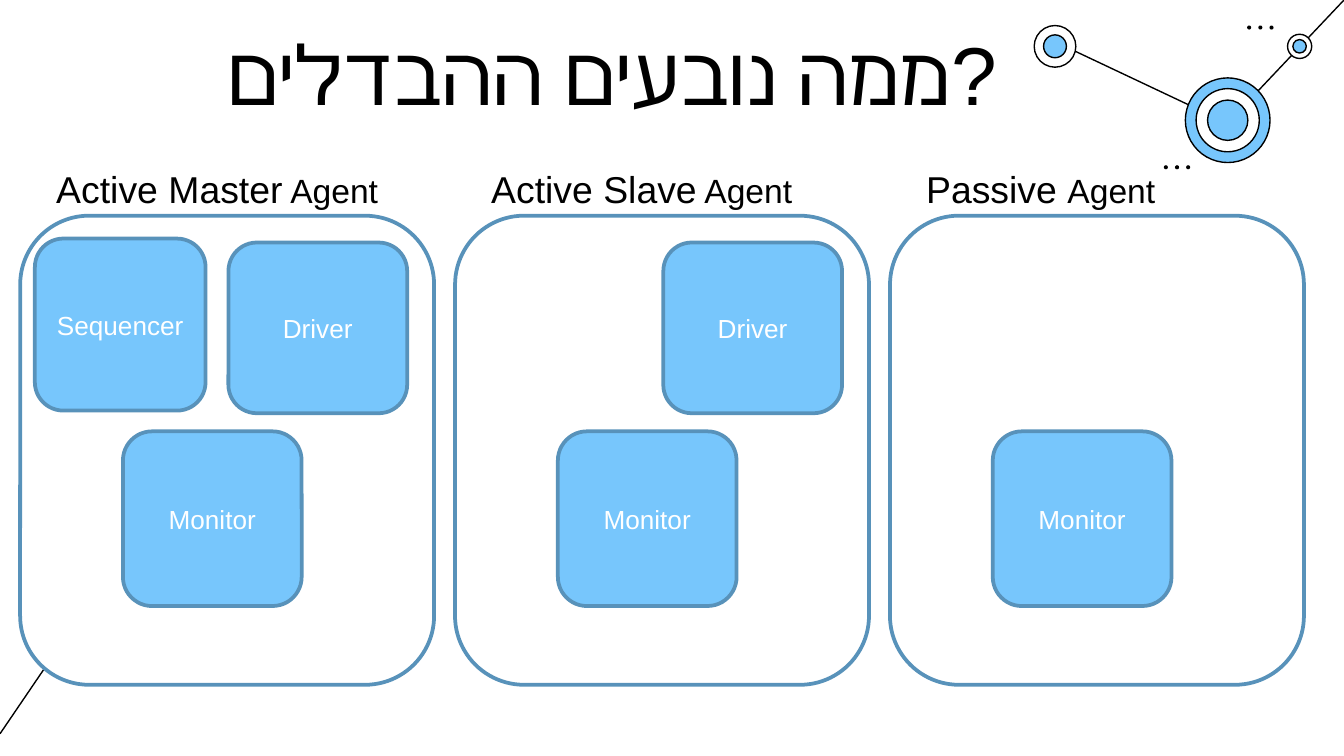
import pptx
import pptx.util
import pptx.dml.color
import pptx.enum.shapes
import pptx.enum.text
import pptx.oxml.ns
import lxml.etree

COLORS = {"black": "000000", "white": "FFFFFF", "sky": "77C6FC", "steel": "5892BA"}
FONT = "Arial"
UNIT = pptx.util.Inches(0.1)
PAGE_COLUMNS, PAGE_ROWS = 100, 56.25
SHAPES = pptx.enum.shapes.MSO_SHAPE

PANEL_LEFT, PANEL_TOP, PANEL_WIDTH, PANEL_HEIGHT = 1.5, 16.05, 30.8, 34.9
PANEL_STEP = 32.36
PARTS = {
    "Sequencer": (1.1, 1.7, 12.7, 12.8),
    "Driver": (15.5, 2, 13.3, 12.7),
    "Monitor": (7.65, 16.05, 13.3, 13),
}
PANELS = [
    (("Active Master", " Agent"), ("Sequencer", "Driver", "Monitor")),
    (("Active Slave", " Agent"), ("Driver", "Monitor")),
    (("Passive ", "Agent"), ("Monitor",)),
]


def color(name):
    return pptx.dml.color.RGBColor.from_string(COLORS[name])


def grid(*lengths):
    return [round(length * UNIT) for length in lengths]


def add_shape(page, kind, box, fill, line=None, weight=0.75):
    shape = page.shapes.add_shape(kind, *grid(*box))
    shape.shadow.inherit = False
    shape.fill.solid()
    shape.fill.fore_color.rgb = color(fill)
    if line:
        shape.line.color.rgb = color(line)
        shape.line.width = pptx.util.Pt(weight)
    else:
        shape.line.fill.background()
    return shape


def set_font(font, size, name):
    font.name = FONT
    font.size = pptx.util.Pt(size)
    font.color.rgb = color(name)


def add_line(page, start, end):
    line = page.shapes.add_connector(
        pptx.enum.shapes.MSO_CONNECTOR.STRAIGHT, *grid(*start, *end))
    line.line.color.rgb = color("black")
    line.line.width = pptx.util.Pt(0.75)
    lxml.etree.SubElement(line._element.spPr, pptx.oxml.ns.qn("a:effectLst"))


def add_rings(page, center, rings):
    for diameter, fill in rings:
        left, top = (middle - diameter / 2 for middle in center)
        add_shape(page, SHAPES.OVAL, (left, top, diameter, diameter), fill, "black")


def add_dots(page, left, top):
    for index in range(3):
        add_shape(page, SHAPES.OVAL, (left + 0.83 * index, top, 0.3, 0.3), "black")


def add_decoration(page, box):
    left, top, width, height = box
    small, large, tiny = (left + 1.5, top + 3.45), (left + 14.35, top + 8.95), (left + 19.7, top + 3.45)
    add_line(page, (0, PAGE_ROWS - 1.65), (4.9, 47.4))
    add_line(page, (left + 1.7, top + 3.2), (left + 14.4, top + 9.2))
    add_line(page, (left + 14.4, top + 9.1), (left + width, top))
    add_rings(page, large, [(6.3, "sky"), (4.7, "white"), (3, "sky")])
    add_rings(page, small, [(3.1, "white"), (1.7, "sky")])
    add_rings(page, tiny, [(1.8, "white"), (1, "sky")])
    add_dots(page, left + 15.8, top + 1.9)
    add_dots(page, left + 9.6, top + height)


def add_title(page, box):
    title = page.shapes.add_textbox(*grid(*box))
    frame = title.text_frame
    frame.word_wrap = True
    frame.vertical_anchor = pptx.enum.text.MSO_ANCHOR.MIDDLE
    frame.margin_left = frame.margin_right = frame.margin_top = frame.margin_bottom = 0
    para = frame.paragraphs[0]
    para.text = "ממה נובעים ההבדלים?"
    para.line_spacing = 0.9
    set_font(para.font, 44, "black")


def add_part(page, box, name):
    part = add_shape(page, SHAPES.ROUNDED_RECTANGLE, box, "sky", "steel", 2)
    part.text_frame.vertical_anchor = pptx.enum.text.MSO_ANCHOR.MIDDLE
    para = part.text_frame.paragraphs[0]
    para.text = name
    para.alignment = pptx.enum.text.PP_ALIGN.CENTER
    set_font(para.font, 14, "white")


def add_label(page, box, words):
    label = page.shapes.add_textbox(*grid(*box))
    label.text_frame.word_wrap = True
    para = label.text_frame.paragraphs[0]
    for text, size in zip(words, (20, 18)):
        span = para.add_run()
        span.text = text
        set_font(span.font, size, "black")


def add_panel(page, box, words, names):
    left, top = box[:2]
    add_shape(page, SHAPES.ROUNDED_RECTANGLE, box, "white", "steel", 2)
    add_label(page, (left + 1.7, top - 4.15, 27.2, 4.4), words)
    for name in names:
        across, down, width, height = PARTS[name]
        add_part(page, (left + across, top + down, width, height), name)


def main():
    deck = pptx.Presentation()
    deck.slide_width, deck.slide_height = grid(PAGE_COLUMNS, PAGE_ROWS)
    page = deck.slides.add_slide(deck.slide_layouts[6])
    add_decoration(page, (77, 0, 23, 12.3))
    add_title(page, (16.9, 1.5, 59.3, 8.8))
    for index, (words, names) in enumerate(PANELS):
        left = PANEL_LEFT + index * PANEL_STEP
        add_panel(page, (left, PANEL_TOP, PANEL_WIDTH, PANEL_HEIGHT), words, names)
    deck.save("out.pptx")


if __name__ == "__main__":
    main()
